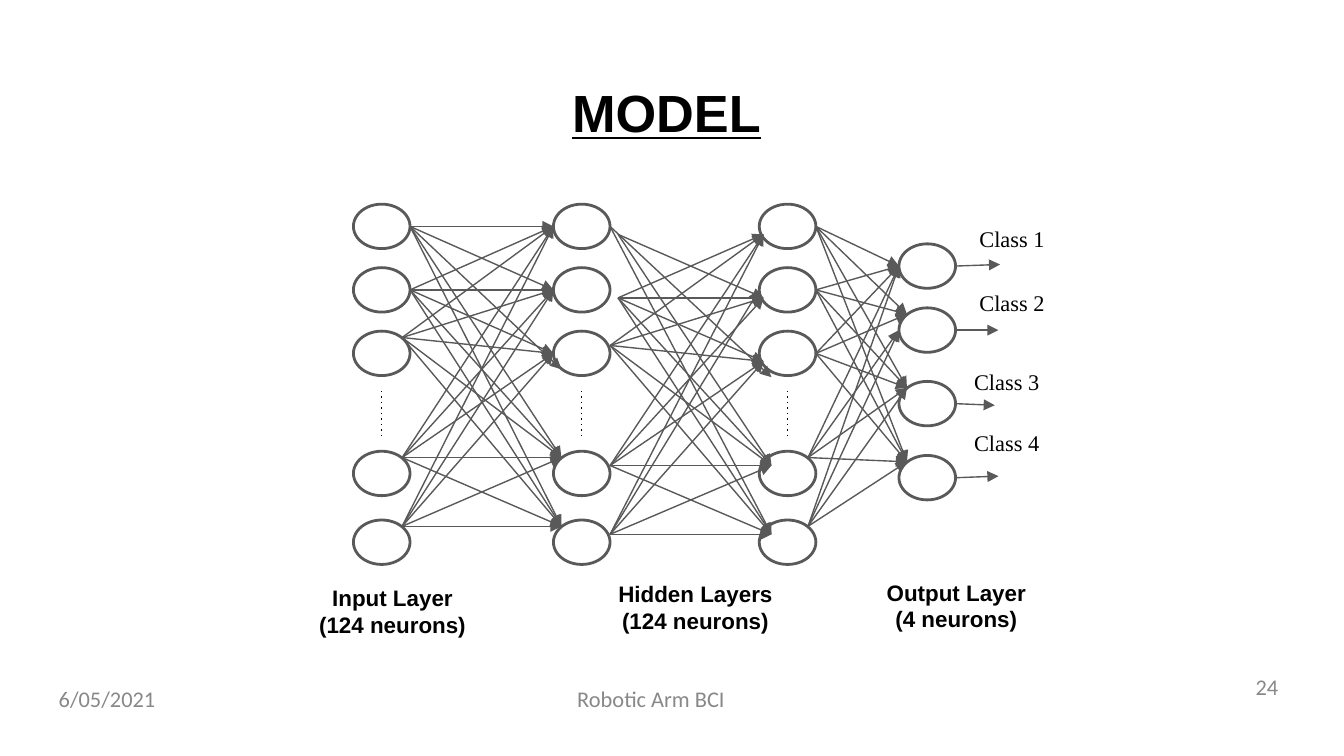
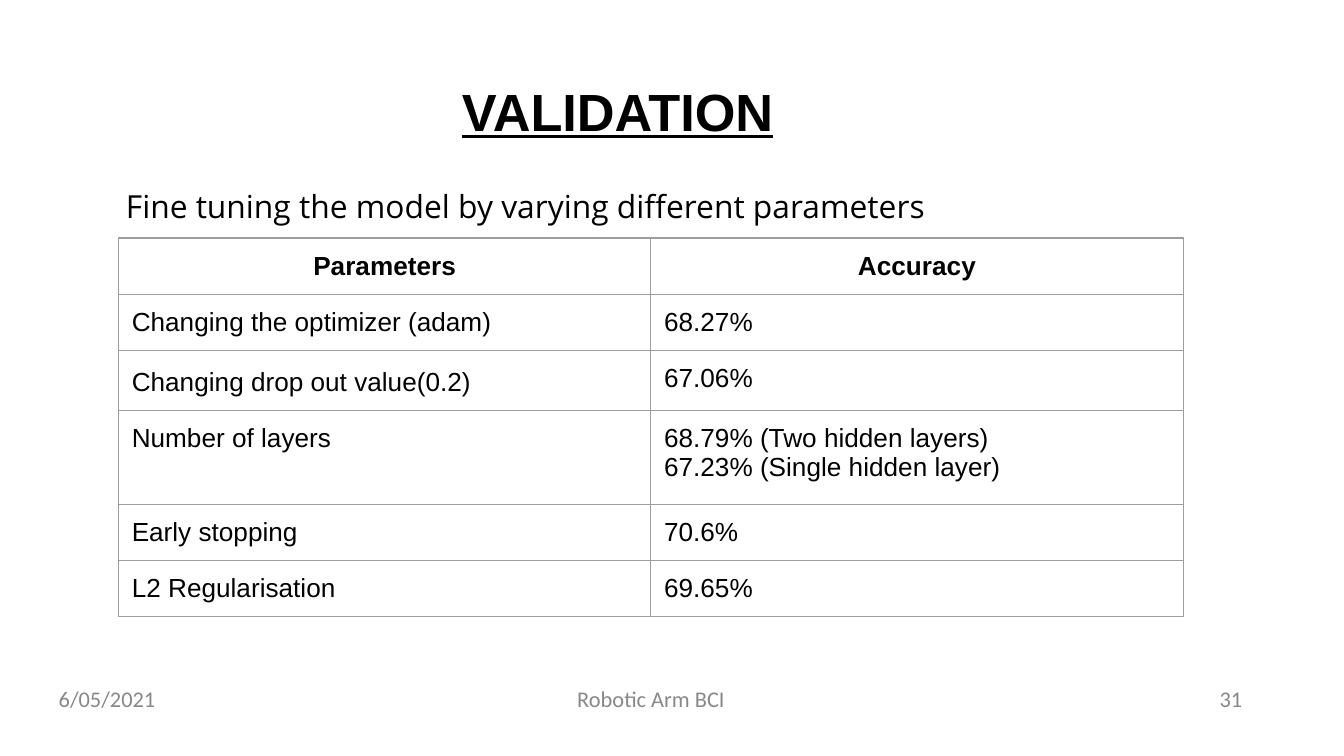
from dataclasses import dataclass
from itertools import product

from lxml import etree
from pptx import Presentation
from pptx.dml.color import RGBColor
from pptx.enum.shapes import MSO_CONNECTOR, MSO_SHAPE
from pptx.enum.text import MSO_ANCHOR, MSO_AUTO_SIZE, PP_ALIGN
from pptx.oxml.ns import qn
from pptx.util import Cm, Pt

STRAIGHT = MSO_CONNECTOR.STRAIGHT
OVAL = MSO_SHAPE.OVAL
TOP, MIDDLE = MSO_ANCHOR.TOP, MSO_ANCHOR.MIDDLE
NO_FIT = MSO_AUTO_SIZE.NONE
LEFT, CENTER, RIGHT = PP_ALIGN.LEFT, PP_ALIGN.CENTER, PP_ALIGN.RIGHT


@dataclass(frozen=True)
class Theme:
    ink: str = "000000"
    muted: str = "888888"
    wire: str = "595959"
    grid: str = "9E9E9E"
    paper: str = "FFFFFF"
    head: str = "Arial"
    body: str = "Open Sans"
    label: str = "Times New Roman"
    foot: str = "Calibri"
    title_size: float = 28
    body_size: float = 17
    cell_size: float = 14
    small_size: float = 12
    thin: float = 0.75
    outline: float = 1.5
    inset: float = 0.25


T = Theme()

# Network geometry, in centimetres from the network's top left corner
NEURON_W, NEURON_H = 1.07, 0.84
DEEP_ROWS = (0, 1.2, 2.4, 4.67, 5.97)
OUTPUT_ROWS = (0.75, 1.96, 3.35, 4.75)
LAYERS = (
    (0, DEEP_ROWS),
    (3.78, DEEP_ROWS),
    (7.67, DEEP_ROWS),
    (10.31, OUTPUT_ROWS),
)
GAP_DOTS = (3.53, 4.39)

# Points on a neuron's outline where wires meet it
WEST, EAST = (0, 0.42), (1.07, 0.42)
NORTH_WEST, NORTH_EAST, SOUTH_WEST = (0.15, 0.12), (0.92, 0.12), (0.15, 0.72)

DEEP_STARTS = (EAST, EAST, NORTH_EAST, NORTH_EAST, NORTH_EAST)
DEEP_ENDS = (WEST, WEST, WEST, NORTH_WEST, NORTH_WEST)
OUT_STARTS = (EAST, EAST, EAST, NORTH_EAST, NORTH_EAST)
OUT_ENDS = (WEST, NORTH_WEST, NORTH_WEST, NORTH_WEST)


def moved(points, dx, dy):
    return tuple((x + dx, y + dy) for x, y in points)


# For each pair of layers: start points, end points, and the wires
# (from, to) that leave or arrive elsewhere, or are missing (None)
WEBS = (
    (DEEP_STARTS, DEEP_ENDS, {(0, 2): (EAST, SOUTH_WEST)}),
    (
        moved(DEEP_STARTS, 0.15, 0.15),
        moved(DEEP_ENDS, 0.08, 0.15),
        {
            (0, 0): None,
            (0, 2): (EAST, (0.23, 0.87)),
            (0, 4): (EAST, (0.23, 0.27)),
            (4, 1): ((1.07, 0.27), WEST),
        },
    ),
    (
        OUT_STARTS,
        OUT_ENDS,
        {(3, 1): (NORTH_EAST, WEST), (4, 1): (NORTH_EAST, WEST)},
    ),
)

# Arrow run and rise, then label offset from its output neuron
CLASSES = (
    ("Class 1", 0.84, -0.03, 1.27, -0.61),
    ("Class 2", 0.81, 0, 1.27, -0.61),
    ("Class 3", 0.74, 0.03, 1.17, -0.51),
    ("Class 4", 0.81, -0.03, 1.17, -0.74),
)
CAPTIONS = (
    ("Input Layer\n(124 neurons)", -0.91, 6.93, 3.3),
    ("Hidden Layers\n(124 neurons)", 4.7, 6.86, 3.53),
    ("Output Layer\n(4 neurons)", 9.63, 6.83, 3.53),
)

RESULTS = (
    ("Parameters", "Accuracy"),
    ("Changing the optimizer (adam)", "68.27%"),
    ("Changing drop out value(0.2)", "67.06%"),
    ("Number of layers",
     "68.79% (Two hidden layers)\n67.23% (Single hidden layer)"),
    ("Early stopping", "70.6%"),
    ("L2 Regularisation", "69.65%"),
)
ROW_HEIGHT, TALL_ROW_HEIGHT, TALL_ROW = 1.06, 1.78, 3
LOOSE_CELL = (2, 0)


def rgb(color):
    return RGBColor.from_string(color)


def write(tf, text, *, size=T.small_size, font=T.head, color=T.ink, bold=False,
          underline=False, align=LEFT, spacing=None, after=None, indent=None):
    """Fill a text frame, one paragraph for each line of text."""
    for i, line in enumerate(text.split("\n")):
        p = tf.add_paragraph() if i else tf.paragraphs[0]
        if indent is not None:
            pPr = p._p.get_or_add_pPr()
            pPr.set("marL", str(Cm(indent)))
            pPr.set("indent", "0")
        p.alignment = align
        if spacing:
            p.line_spacing = spacing
        if after is not None:
            p.space_after = Pt(after)
        r = p.add_run()
        r.text = line
        r.font.size = Pt(size)
        r.font.name = font
        r.font.bold = bold
        r.font.underline = underline
        r.font.color.rgb = rgb(color)


def set_frame(tf, anchor=TOP, inset_y=T.inset):
    tf.word_wrap = True
    tf.auto_size = NO_FIT
    tf.vertical_anchor = anchor
    tf.margin_left = tf.margin_right = Cm(T.inset)
    tf.margin_top = tf.margin_bottom = Cm(inset_y)


def add_text(s, text, x, y, w, h, *, anchor=TOP, inset_y=T.inset, **fmt):
    tf = s.shapes.add_textbox(Cm(x), Cm(y), Cm(w), Cm(h)).text_frame
    set_frame(tf, anchor, inset_y)
    write(tf, text, **fmt)


def add_line(s, x1, y1, x2, y2, color=T.wire, dash=None, arrow=False):
    c = s.shapes.add_connector(STRAIGHT, Cm(x1), Cm(y1), Cm(x2), Cm(y2))
    c.line.width = Pt(T.thin)
    c.line.color.rgb = rgb(color)
    spPr = c._element.spPr
    ln = spPr.get_or_add_ln()
    if dash:
        etree.SubElement(ln, qn("a:prstDash"), val=dash)
    if arrow:
        etree.SubElement(ln, qn("a:tailEnd"), type="triangle")
    etree.SubElement(spPr, qn("a:effectLst"))


def new_slide(prs, title, x, y, **fmt):
    s = prs.slides.add_slide(prs.slide_layouts[5])
    sp = s.shapes.title
    sp.left, sp.top, sp.width, sp.height = Cm(x), Cm(y), Cm(23.67), Cm(1.6)
    set_frame(sp.text_frame)
    write(sp.text_frame, title, size=T.title_size, bold=True, underline=True,
          **fmt)
    return s


def add_footer(s, number, number_x, number_y):
    parts = (
        (number, number_x, number_y, 5.92, RIGHT),
        ("Robotic Arm BCI", 8.28, 12.7, 8.05, CENTER),
        ("6/05/2021", 0.86, 12.7, 5.92, LEFT),
    )
    for text, x, y, w, align in parts:
        add_text(s, text, x, y, w, 1.02, anchor=MIDDLE, inset_y=0.13,
                 font=T.foot, color=T.muted, align=align)


def add_neuron(s, x, y):
    sp = s.shapes.add_shape(OVAL, Cm(x), Cm(y), Cm(NEURON_W), Cm(NEURON_H))
    sp.shadow.inherit = False
    sp.fill.solid()
    sp.fill.fore_color.rgb = rgb(T.paper)
    sp.line.color.rgb = rgb(T.wire)
    sp.line.width = Pt(T.outline)


def add_layers(s, left, top):
    for x, rows in LAYERS:
        for y in rows:
            add_neuron(s, left + x, top + y)
        if rows is DEEP_ROWS:
            mid = left + x + NEURON_W / 2
            add_line(s, mid, top + GAP_DOTS[0], mid, top + GAP_DOTS[1],
                     color=T.ink, dash="dot")


def add_webs(s, left, top):
    """Wire every neuron to each neuron of the next layer."""
    for (x1, rows1), (x2, rows2), web in zip(LAYERS, LAYERS[1:], WEBS):
        starts, ends, special = web
        for i, j in product(range(len(rows1)), range(len(rows2))):
            wire = special.get((i, j), (starts[i], ends[j]))
            if wire:
                (ax, ay), (bx, by) = wire
                add_line(s, left + x1 + ax, top + rows1[i] + ay,
                         left + x2 + bx, top + rows2[j] + by, arrow=True)


def add_classes(s, left, top):
    x = left + LAYERS[-1][0]
    for row, (name, run, rise, dx, dy) in zip(OUTPUT_ROWS, CLASSES):
        y = top + row
        add_line(s, x + EAST[0], y + EAST[1],
                 x + EAST[0] + run, y + EAST[1] + rise, arrow=True)
        add_text(s, name, x + dx, y + dy, 2.03, 1.02, font=T.label)


def add_captions(s, left, top):
    for text, x, y, w in CAPTIONS:
        add_text(s, text, left + x, top + y, w, 1.55, bold=True, align=CENTER)


def set_borders(cell):
    tcPr = cell._tc.get_or_add_tcPr()
    for side in "LRTB":
        ln = etree.SubElement(tcPr, qn(f"a:ln{side}"), w=str(Pt(T.thin)))
        fill = etree.SubElement(ln, qn("a:solidFill"))
        etree.SubElement(fill, qn("a:srgbClr"), val=T.grid)


def add_results(s, x, y, w):
    heights = [ROW_HEIGHT] * len(RESULTS)
    heights[TALL_ROW] = TALL_ROW_HEIGHT
    table = s.shapes.add_table(len(RESULTS), 2, Cm(x), Cm(y), Cm(w),
                               Cm(sum(heights))).table
    table.first_row = table.horz_banding = False
    for row, height in zip(table.rows, heights):
        row.height = Cm(height)
    for i, j in product(range(len(RESULTS)), range(2)):
        cell = table.cell(i, j)
        cell.margin_left = cell.margin_right = Cm(T.inset)
        cell.margin_top = cell.margin_bottom = Cm(T.inset)
        set_borders(cell)
        cell.fill.background()
        loose = {"spacing": 1.15, "after": 16} if (i, j) == LOOSE_CELL else {}
        write(cell.text_frame, RESULTS[i][j], size=T.cell_size, bold=i == 0,
              align=LEFT if i else CENTER, **loose)


def model_slide(prs):
    s = new_slide(prs, "MODEL", 0.76, 1.4, align=CENTER, spacing=0.9)
    add_footer(s, "24", 18.49, 12.47)
    for add_part in (add_layers, add_webs, add_captions, add_classes):
        add_part(s, 6.68, 3.86)


def validation_slide(prs):
    s = new_slide(prs, "VALIDATION", 0.86, 1.24, indent=7.62, spacing=1.0)
    add_footer(s, "31", 17.81, 12.7)
    add_text(s, "Fine tuning the model by varying different parameters",
             2.13, 3.18, 19.94, 8.33, size=T.body_size, font=T.body,
             spacing=1.15)
    add_results(s, 2.24, 4.5, 20.12)


def main():
    prs = Presentation()
    prs.slide_width, prs.slide_height = Cm(25.4), Cm(14.29)
    model_slide(prs)
    validation_slide(prs)
    prs.save("out.pptx")


if __name__ == "__main__":
    main()
